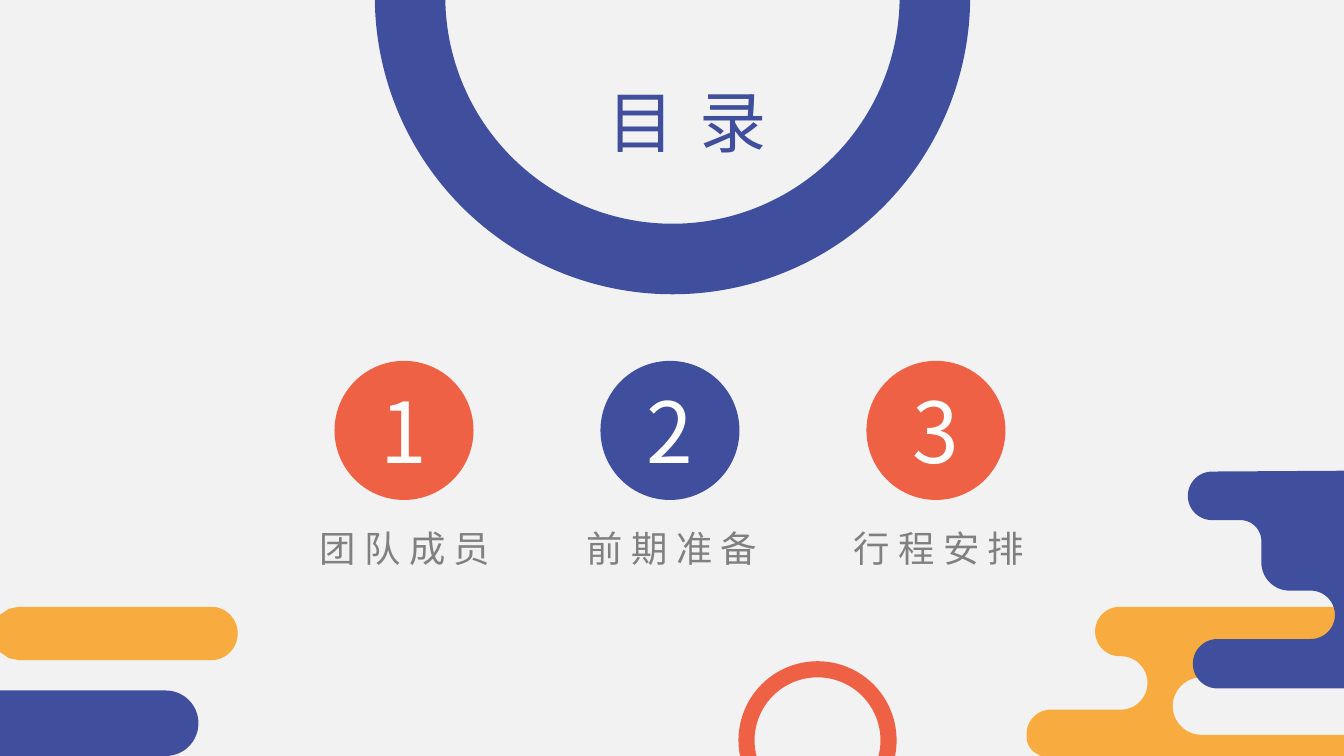
from pptx import Presentation
from pptx.dml.color import RGBColor
from pptx.enum.shapes import MSO_SHAPE
from pptx.enum.text import MSO_ANCHOR, PP_ALIGN
from pptx.oxml.ns import qn
from pptx.util import Inches, Pt
from lxml.etree import SubElement

# The slide is a grid of 133.4 columns by 75 rows, each cell a tenth of an inch.
CELL = Inches(0.1)
COLUMNS, ROWS = 133.4, 75
NAVY, ORANGE, CORAL = "404F9D", "F8AB3F", "EF6144"
WHITE, GREY, PAPER = "FFFFFF", "808080", "F2F2F2"
FONT = "Noto Sans CJK SC"
ARC = 0.5523  # Bezier handle length for a quarter circle
ARC_STEPS = 16


def grid(*lengths):
    return [round(length * CELL) for length in lengths]


def color(hex_string):
    return RGBColor.from_string(hex_string)


def write(shape, text, size, hex_color, spacing=0, line_spacing=None, anchor=MSO_ANCHOR.MIDDLE):
    frame = shape.text_frame
    frame.word_wrap = False
    frame.vertical_anchor = anchor
    paragraph = frame.paragraphs[0]
    paragraph.alignment = PP_ALIGN.CENTER
    if line_spacing:
        paragraph.line_spacing = line_spacing
    run = paragraph.add_run()
    run.text = text
    run.font.size = Pt(size)
    run.font.name = FONT
    run.font.color.rgb = color(hex_color)
    properties = run.font._element
    SubElement(properties, qn("a:ea")).set("typeface", FONT)
    if spacing:
        properties.set("spc", str(spacing * 100))


def round_corners(corners):
    """Turn (column, row, radius) corners into a list of outline points."""
    points = []
    for index, (x, y, radius) in enumerate(corners):
        if not radius:
            points.append((x, y))
            continue
        ends = []
        for other in (corners[index - 1], corners[(index + 1) % len(corners)]):
            dx, dy = other[0] - x, other[1] - y
            share = radius / (dx * dx + dy * dy) ** 0.5
            ends.append((dx * share, dy * share))
        for step in range(ARC_STEPS + 1):
            t = step / ARC_STEPS
            before = (1 - t) ** 3 + 3 * t * (1 - t) ** 2 * (1 - ARC)
            after = t ** 3 + 3 * t ** 2 * (1 - t) * (1 - ARC)
            points.append((x + before * ends[0][0] + after * ends[1][0],
                           y + before * ends[0][1] + after * ends[1][1]))
    return points


class ContentsSlide:
    def __init__(self, presentation):
        self.slide = presentation.slides.add_slide(presentation.slide_layouts[6])
        fill = self.slide.background.fill
        fill.solid()
        fill.fore_color.rgb = color(PAPER)

    def paint(self, shape, hex_color):
        shape.shadow.inherit = False
        shape.fill.solid()
        shape.fill.fore_color.rgb = color(hex_color)
        shape.line.fill.background()
        return shape

    def outline(self, hex_color, corners):
        points = [grid(*point) for point in round_corners(corners)]
        builder = self.slide.shapes.build_freeform(*points[0], scale=1.0)
        builder.add_line_segments(points[1:], close=True)
        return self.paint(builder.convert_to_shape(), hex_color)

    def circle(self, hex_color, left, top, size, preset=MSO_SHAPE.OVAL):
        shape = self.slide.shapes.add_shape(preset, *grid(left, top, size, size))
        return self.paint(shape, hex_color)

    def ring(self, hex_color, left, top, size, band):
        shape = self.circle(hex_color, left, top, size, MSO_SHAPE.DONUT)
        shape.adjustments[0] = band / size

    def label(self, text, left, top, width, height, **text_format):
        box = self.slide.shapes.add_textbox(*grid(left, top, width, height))
        write(box, text, **text_format)


def main():
    presentation = Presentation()
    presentation.slide_width, presentation.slide_height = grid(COLUMNS, ROWS)
    contents = ContentsSlide(presentation)

    # Bars at the lower left
    contents.outline(ORANGE, [
        (0, 61, 0), (0.9, 60.4, 0), (1.9, 60.2, 0), (23.6, 60.2, 2.64),
        (23.6, 65.5, 2.64), (1.9, 65.5, 0), (0.9, 65.3, 0), (0, 64.7, 0)])
    contents.outline(NAVY, [
        (0, 68.5, 0), (19.7, 68.5, 3.25), (19.7, 75, 3.25), (0, 75, 0)])

    contents.ring(CORAL, 73.3, 65.6, 15.7, 1.6)
    contents.ring(NAVY, 37.2, -29.9, 59.1, 7)

    # Clouds at the lower right
    contents.outline(ORANGE, [
        (108.7, 60.2, 2.44), (COLUMNS, 60.2, 0), (COLUMNS, 67.2, 0),
        (116.4, 67.2, 2.85), (116.4, 72.9, 2.85), (COLUMNS, 72.9, 0),
        (COLUMNS, ROWS, 0), (103.3, ROWS, 0), (101.9, 74.2, 1),
        (101.9, 70.4, 2.4), (113.9, 70.4, 2.65), (113.9, 65.1, 2.65),
        (108.7, 65.1, 2.44)])
    contents.outline(NAVY, [
        (COLUMNS, 46.7, 0), (COLUMNS, 68.3, 0), (118.4, 68.3, 2.44),
        (118.4, 63.4, 2.44), (132.5, 63.4, 2.4), (132.5, 58.6, 2.4),
        (125.2, 58.6, 2.8), (125.2, 51.6, 2.1), (117.9, 51.6, 2.4),
        (117.9, 46.8, 2.4)])

    contents.label("目录", 50.6, 6.7, 35.2, 6.6, size=48, hex_color=NAVY,
                   spacing=18, line_spacing=1.5)

    topics = [("团队成员", CORAL), ("前期准备", NAVY), ("行程安排", CORAL)]
    for index, (topic, fill) in enumerate(topics):
        number = contents.circle(fill, 33.2 + 26.4 * index, 35.8, 13.8)
        write(number, str(index + 1), size=60, hex_color=WHITE)
        contents.label(topic, 30.6 + 26.5 * index, 51.7, 19.2, 4.2, size=26,
                       hex_color=GREY, spacing=6, anchor=MSO_ANCHOR.TOP)

    presentation.save("out.pptx")


if __name__ == "__main__":
    main()
